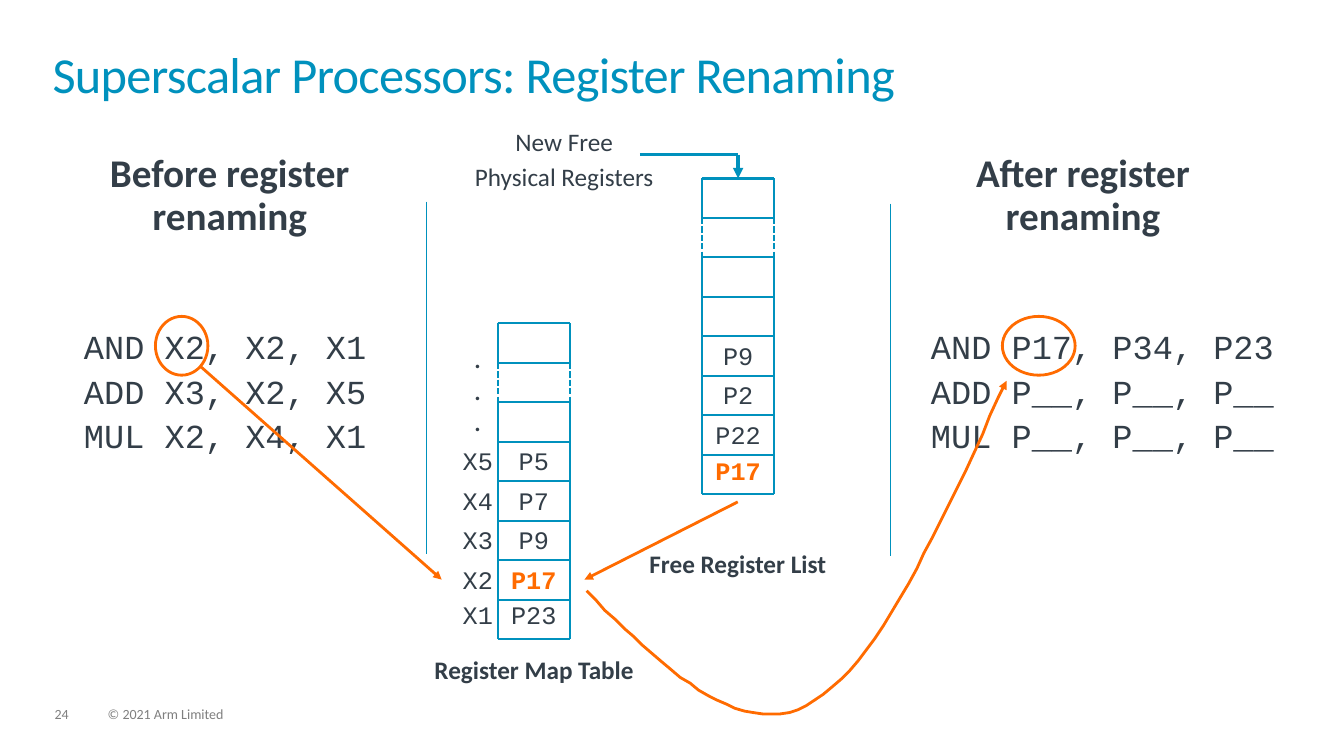
from lxml import etree
from pptx import Presentation
from pptx.dml.color import RGBColor
from pptx.enum import dml, shapes, text
from pptx.oxml import ns
from pptx.util import Pt

BLUE = RGBColor(0x00, 0x91, 0xBD)
ORANGE = RGBColor(0xFF, 0x6B, 0x00)
DARK = RGBColor(0x33, 0x3E, 0x48)
GRAY = RGBColor(0x7F, 0x7F, 0x7F)
SANS, MONO = "Calibri", "Courier New"
CELL_W, CELL_H = 51.5, 28.2


def style_frame(tf, size, color, font, bold, align, spacing):
    tf.word_wrap = True
    tf.vertical_anchor = text.MSO_ANCHOR.TOP
    tf.margin_left = tf.margin_right = tf.margin_top = tf.margin_bottom = 0
    for p in tf.paragraphs:
        p.alignment, p.line_spacing = align, spacing
        for r in p.runs:
            r.font.name, r.font.size, r.font.bold = font, Pt(size), bold
            r.font.color.rgb = color


def add_text(s, box, content, size, color=DARK, font=SANS, bold=False,
             align=text.PP_ALIGN.LEFT):
    tf = s.shapes.add_textbox(*map(Pt, box)).text_frame
    tf.text = content
    style_frame(tf, size, color, font, bold, align, 0.9)
    for p in tf.paragraphs:
        p.space_after = Pt(6)


def add_caption(s, box, content, size=18, color=DARK, font=SANS, bold=True):
    add_text(s, box, content, size, color, font, bold, text.PP_ALIGN.CENTER)


def style_line(sp, color, width, arrow=False):
    sp.line.color.rgb, sp.line.width = color, Pt(width)
    if arrow:
        ln = sp.line._get_or_add_ln()
        etree.SubElement(ln, ns.qn("a:tailEnd"), type="triangle")


def add_line(s, x1, y1, x2, y2, color=BLUE, width=1.5, arrow=False, dashed=False):
    line = s.shapes.add_connector(shapes.MSO_CONNECTOR.STRAIGHT, *map(Pt, (x1, y1, x2, y2)))
    style_line(line, color, width)
    if dashed:
        line.line.dash_style = dml.MSO_LINE.SQUARE_DOT
    if arrow:
        style_line(line, color, width, True)
    etree.SubElement(line._element.spPr, ns.qn("a:effectLst"))


def title(s, x, y, w, h, content):
    sp = s.shapes.title
    sp.left, sp.top, sp.width, sp.height = map(Pt, (x, y, w, h))
    sp.text_frame.text = content
    style_frame(sp.text_frame, 36, BLUE, SANS, False, text.PP_ALIGN.LEFT, 0.85)
    sp.text_frame.paragraphs[0].runs[0].font._element.set("spc", "-50")


def code_panel(s, x, y, w, heading_x, heading, code, circle_w):
    add_caption(s, (heading_x, y, 187, 61), heading, 28)
    add_text(s, (x, y + 126, w, 92), code, 24, font=MONO)
    circle = s.shapes.add_shape(shapes.MSO_SHAPE.OVAL,
                                *map(Pt, (x + 51, y + 116, circle_w, 42)))
    circle.shadow.inherit = False
    circle.fill.background()
    style_line(circle, ORANGE, 2)


def register_stack(s, x, y, values, labels=()):
    rows = 8
    for i in range(rows + 1):
        add_line(s, x, y + i * CELL_H, x + CELL_W, y + i * CELL_H)
    for side in (x, x + CELL_W):
        for first, last in ((0, 1), (1, 2), (2, rows)):
            add_line(s, side, y + first * CELL_H, side, y + last * CELL_H,
                     dashed=first == 1)

    def row_top(i, count):
        row = rows - count + i
        return y + row * CELL_H + (2.5 if row == rows - 1 else 5)

    for i, value in enumerate(values):
        new = value == "P17"
        add_caption(s, (x, row_top(i, len(values)), CELL_W, 20), value,
                    color=ORANGE if new else DARK, font=MONO, bold=new)
    for i, label in enumerate(labels):
        add_text(s, (x - 25, row_top(i, len(labels)), 24, 20), label, 18, font=MONO)


def register_map(s, x, y):
    register_stack(s, x, y, ["P5", "P7", "P9", "P17", "P23"],
                   ["X5", "X4", "X3", "X2", "X1"])
    add_text(s, (x - 17, y + 14, 13.5, 68), ".\v.\v.", 21)
    add_caption(s, (x - 93.5, y + 238.5, 239, 19.5), "Register Map Table")


def free_list(s, x, y):
    register_stack(s, x, y, ["P9", "P2", "P22", "P17"])
    add_caption(s, (x - 94, y + 266.5, 239, 19.5), "Free Register List")
    add_caption(s, (x - 218, y - 35, 239, 45), "New Free\nPhysical Registers", bold=False)
    mid = x + CELL_W / 2
    add_line(s, x - 44.5, y - 17, mid, y - 17, width=2.5)
    add_line(s, mid, y - 17, mid, y, width=2.5, arrow=True)


def bezier(a, b, c, d, steps=24):
    for k in range(1, steps + 1):
        t = k / steps
        weights = ((1 - t) ** 3, 3 * t * (1 - t) ** 2, 3 * t * t * (1 - t), t ** 3)
        yield tuple(sum(w * pt[i] for w, pt in zip(weights, (a, b, c, d)))
                    for i in (0, 1))


def renaming_arrows(s):
    add_line(s, 143.5, 262, 315.5, 414, ORANGE, 2, arrow=True)
    add_line(s, 527, 358.5, 417.5, 414, ORANGE, 2, arrow=True)
    start, low, end = (419, 422.5), (576, 504), (719, 271.5)
    points = [*bezier(start, (473, 476), (526.5, 529), low),
              *bezier(low, (625.5, 479), (672.5, 375), end)]
    builder = s.shapes.build_freeform(*start, scale=Pt(1))
    builder.add_line_segments(points, close=False)
    curve = builder.convert_to_shape()
    curve.shadow.inherit = False
    curve.fill.background()
    style_line(curve, ORANGE, 2, arrow=True)


def footer(s, x, y):
    add_text(s, (x, y, 24.5, 11), "24", 10, GRAY)
    add_text(s, (x + 38, y, 365, 11), "© 2021 Arm Limited", 10, GRAY)


def main():
    prs = Presentation()
    prs.slide_width, prs.slide_height = Pt(960), Pt(540)
    s = prs.slides.add_slide(prs.slide_layouts[5])
    footer(s, 39, 505)
    title(s, 37.5, 37.5, 884, 52, "Superscalar Processors: Register Renaming")
    code_panel(s, 60, 110, 216, 70.5, "Before register renaming",
               "AND X2, X2, X1\nADD X3, X2, X5\nMUL X2, X4, X1", 37.5)
    code_panel(s, 665, 110, 263, 680, "After register renaming",
               "AND P17, P34, P23\nADD P__, P__, P__\nMUL P__, P__, P__", 52)
    for x, y in ((304.5, 144), (636, 145.5)):
        add_line(s, x, y, x, y + 251.5, width=1)
    register_map(s, 355.5, 231)
    free_list(s, 501.5, 127.5)
    renaming_arrows(s)
    prs.save("out.pptx")


if __name__ == "__main__":
    main()
